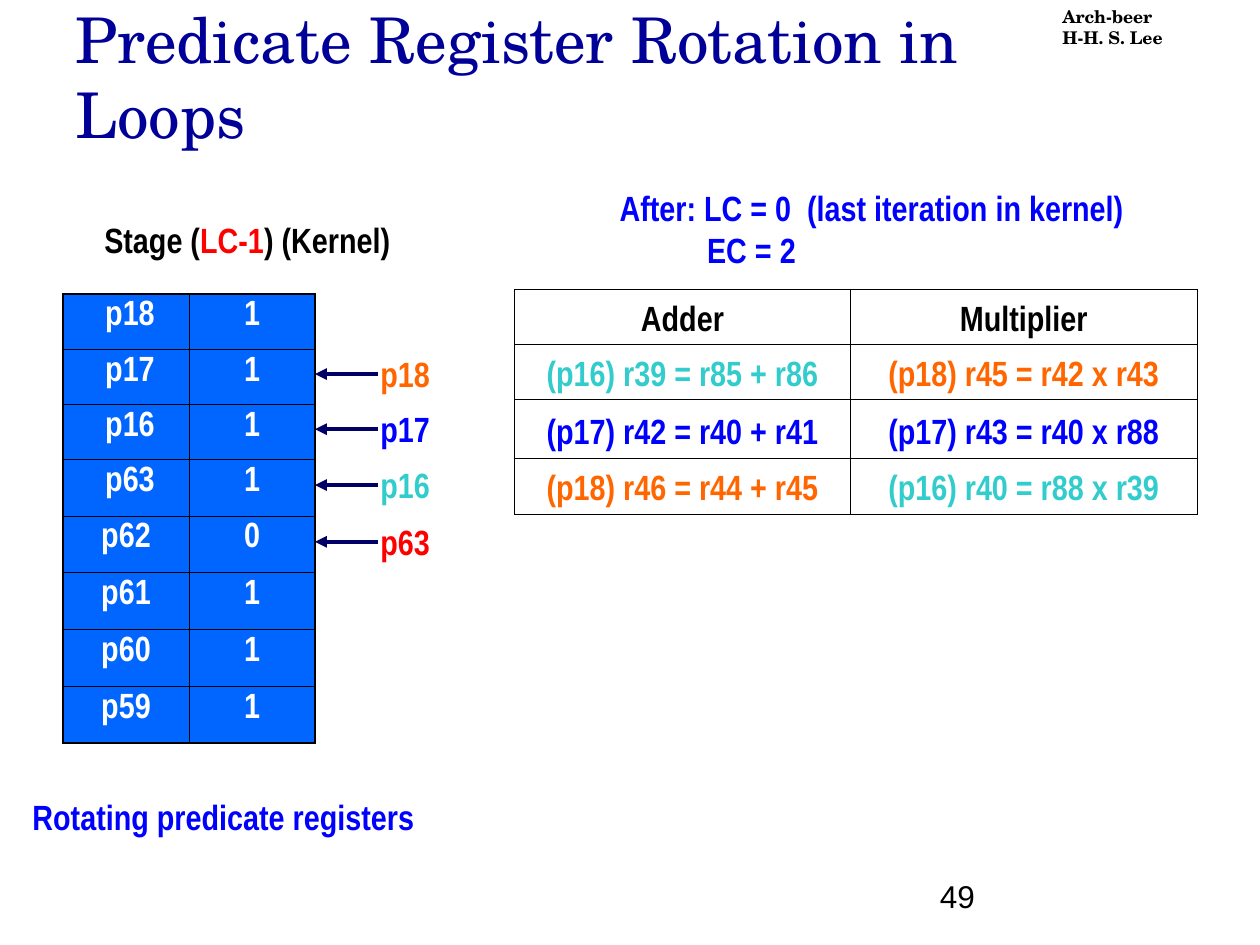
import pptx
import pptx.dml.color
import pptx.enum.shapes
import pptx.enum.text
import pptx.oxml
import pptx.oxml.ns
import pptx.util

Pt = pptx.util.Pt
ALIGN = pptx.enum.text.PP_ALIGN
ANCHOR = pptx.enum.text.MSO_ANCHOR
AUTO_SIZE = pptx.enum.text.MSO_AUTO_SIZE
NS = pptx.oxml.ns.nsdecls("a")

BLACK, WHITE, RED = "000000", "FFFFFF", "FF0000"
TEAL, BLUE, ORANGE = "33CCCC", "0000FF", "FF6600"
NAVY, TITLE_BLUE, CELL_BLUE = "000066", "000099", "0066FF"
BODY = {"name": "Arial Narrow", "size": Pt(20), "bold": True}
THIN, THICK = 0.45, 1.08


def rgb(color):
    return pptx.dml.color.RGBColor.from_string(color)


def apply(target, values):
    for name, value in values.items():
        setattr(target, name, value)


def write(paragraph, runs, font=BODY, **layout):
    """Fill a paragraph from (wording, color) pairs."""
    apply(paragraph, layout)
    for wording, color in runs:
        run = paragraph.add_run()
        run.text = wording
        apply(run.font, font)
        run.font.color.rgb = rgb(color)


def add_text(slide, box, lines, font=BODY, **frame_format):
    frame = slide.shapes.add_textbox(*map(Pt, box)).text_frame
    apply(frame, {"word_wrap": False, "auto_size": AUTO_SIZE.SHAPE_TO_FIT_TEXT, **frame_format})
    for index, runs in enumerate(lines):
        write(frame.add_paragraph() if index else frame.paragraphs[0], runs, font)
    return frame


def set_borders(cell, widths):
    """Draw black borders; widths are left, right, top, bottom."""
    properties = cell._tc.get_or_add_tcPr()
    for side, width in zip("LRTB", widths):
        properties.append(pptx.oxml.parse_xml(
            f'<a:ln{side} {NS} w="{Pt(width)}"><a:solidFill><a:srgbClr val="{BLACK}"/>'
            f'</a:solidFill></a:ln{side}>'))


def add_grid(slide, left, top, columns, heights, rows, outline, fill, anchor, **layout):
    """Place a table whose cells are (wording, color) pairs."""
    grid = slide.shapes.add_table(len(heights), len(columns), Pt(left), Pt(top),
                                  Pt(sum(columns)), Pt(sum(heights))).table
    apply(grid, {"first_row": False, "horz_banding": False})
    for column, width in zip(grid.columns, columns):
        column.width = Pt(width)
    last_row, last_column = len(heights) - 1, len(columns) - 1
    for r, (height, row) in enumerate(zip(heights, rows)):
        grid.rows[r].height = Pt(height)
        for c, entry in enumerate(row):
            cell = grid.cell(r, c)
            cell.vertical_anchor = anchor
            edges = (c == 0, c == last_column, r == 0, r == last_row)
            set_borders(cell, [outline if edge else THIN for edge in edges])
            if fill:
                cell.fill.solid()
                cell.fill.fore_color.rgb = rgb(fill)
            else:
                cell.fill.background()
            write(cell.text_frame.paragraphs[0], [entry], alignment=ALIGN.CENTER, **layout)


def add_arrow(slide, start, end, y):
    arrow = slide.shapes.add_connector(pptx.enum.shapes.MSO_CONNECTOR.STRAIGHT,
                                       Pt(start), Pt(y), Pt(end), Pt(y))
    arrow.line.width = Pt(2.25)
    arrow.line.color.rgb = rgb(NAVY)
    arrow.line._get_or_add_ln().append(
        pptx.oxml.parse_xml(f'<a:tailEnd {NS} type="triangle"/>'))
    arrow._element.spPr.append(pptx.oxml.parse_xml(f"<a:effectLst {NS}/>"))


def add_header(slide, title_box, author_box):
    fixed = {"word_wrap": True, "auto_size": AUTO_SIZE.NONE}
    add_text(slide, author_box, [[("Arch-beer", BLACK)], [("H-H. S. Lee", BLACK)]],
             {"name": "TeX Gyre Schola", "size": Pt(10), "bold": True}, **fixed)
    add_text(slide, title_box, [[("Predicate Register Rotation in Loops", TITLE_BLUE)]],
             {"name": "TeX Gyre Schola", "size": Pt(36)},
             vertical_anchor=ANCHOR.BOTTOM, **fixed)


def add_registers(slide, left, top, width):
    """Rotating register file with the renamed registers beside it."""
    heights = [31.5] * 3 + [32.4] * 5
    values = [(" p18", "1"), (" p17", "1"), (" p16", "1"), (" p63", "1"),
              ("p62", "0"), ("p61", "1"), ("p60", "1"), ("p59", "1")]
    rows = [[(wording, WHITE) for wording in row] for row in values]
    add_grid(slide, left, top, [width / 2] * 2, heights, rows,
             THICK, CELL_BLUE, ANCHOR.TOP, space_before=Pt(5))

    # Labels start at the second row
    right = left + width
    labels = [("p18", ORANGE), ("p17", BLUE), ("p16", TEAL), ("p63", RED)]
    for row, label in enumerate(labels, start=1):
        y = top + sum(heights[:row]) + heights[row] / 2 - 1.5
        add_text(slide, (right + 30.3, y - 15.7, 42.5, 31.5), [[label]])
        add_arrow(slide, right + 36, right, y)

    # Captions above and below
    add_text(slide, (left + 16.5, top - 46.8, 178, 31.5),
             [[("Stage (", BLACK), ("LC-1", RED), (") (Kernel)", BLACK)]])
    add_text(slide, (left - 24.5, top + 283, 232.5, 31.5),
             [[("Rotating predicate registers", BLUE)]])


def add_schedule(slide, left, top, width):
    """Kernel instructions with the loop counters above them."""
    rows = [
        [("Adder", BLACK), ("Multiplier", BLACK)],
        [("(p16) r39 = r85 + r86", TEAL), ("(p18) r45 = r42 x r43", ORANGE)],
        [("(p17) r42 = r40 + r41", BLUE), ("(p17) r43 = r40 x r88", BLUE)],
        [("(p18) r46 = r44 + r45", ORANGE), ("(p16) r40 = r88 x r39", TEAL)],
    ]
    adder_width = 192
    add_grid(slide, left, top, [adder_width, width - adder_width], [31.5, 31.5, 33.4, 32.2],
             rows, THIN, None, ANCHOR.BOTTOM)
    counters = add_text(slide, (left + 53, top - 62.6, 302.4, 55.4),
                        [[("After: LC = 0  (last iteration in kernel)", BLUE)],
                         [("EC = 2", BLUE)]])
    counters.paragraphs[1]._p.get_or_add_pPr().set("marL", str(Pt(50)))


def main():
    deck = pptx.Presentation()
    deck.slide_width, deck.slide_height = Pt(720), Pt(540)
    slide = deck.slides.add_slide(deck.slide_layouts[6])

    add_header(slide, (36, 24, 612, 66), (600, 0, 120, 31.5))
    add_schedule(slide, 294, 165.5, 390)
    add_registers(slide, 36, 168, 144)

    # Slide number
    add_text(slide, (530, 490.5, 150, 36), [[("49", BLACK)]],
             {"name": "Arial", "size": Pt(18)}, word_wrap=True,
             auto_size=AUTO_SIZE.NONE, vertical_anchor=ANCHOR.BOTTOM)
    deck.save("out.pptx")


if __name__ == "__main__":
    main()
